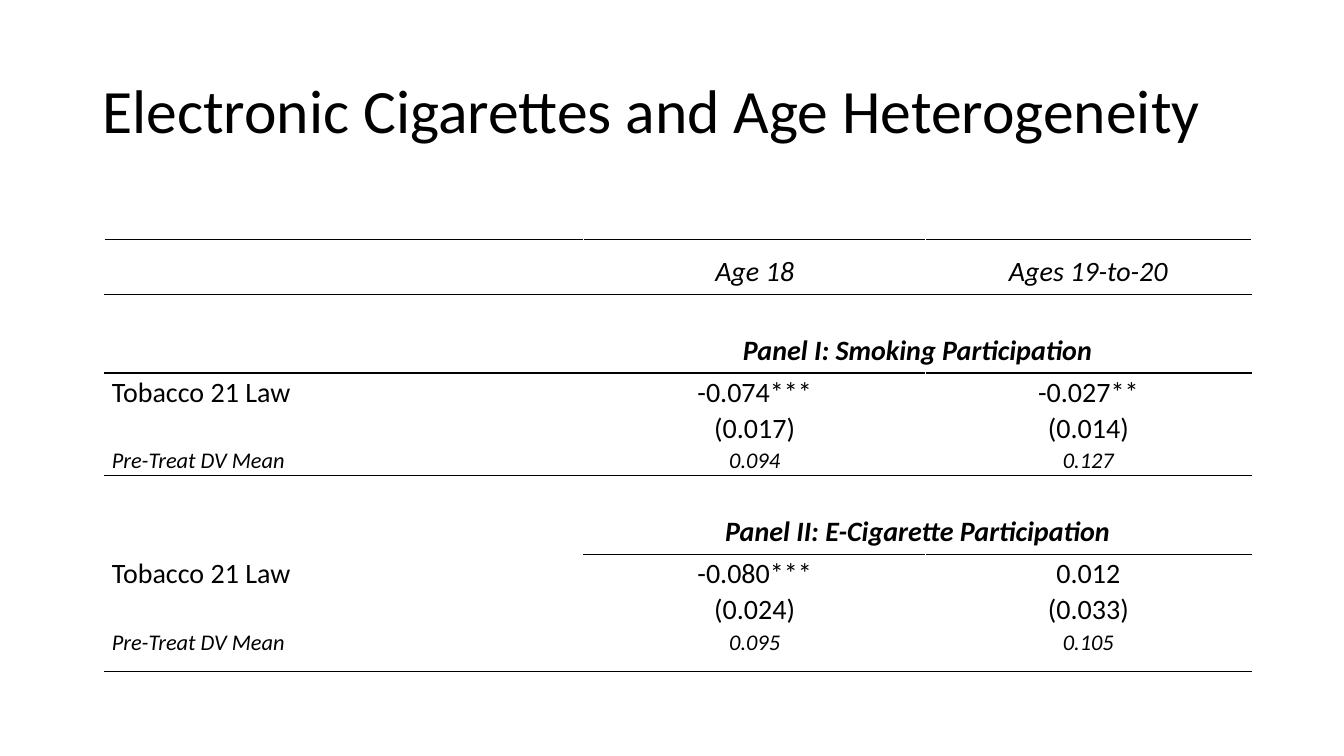
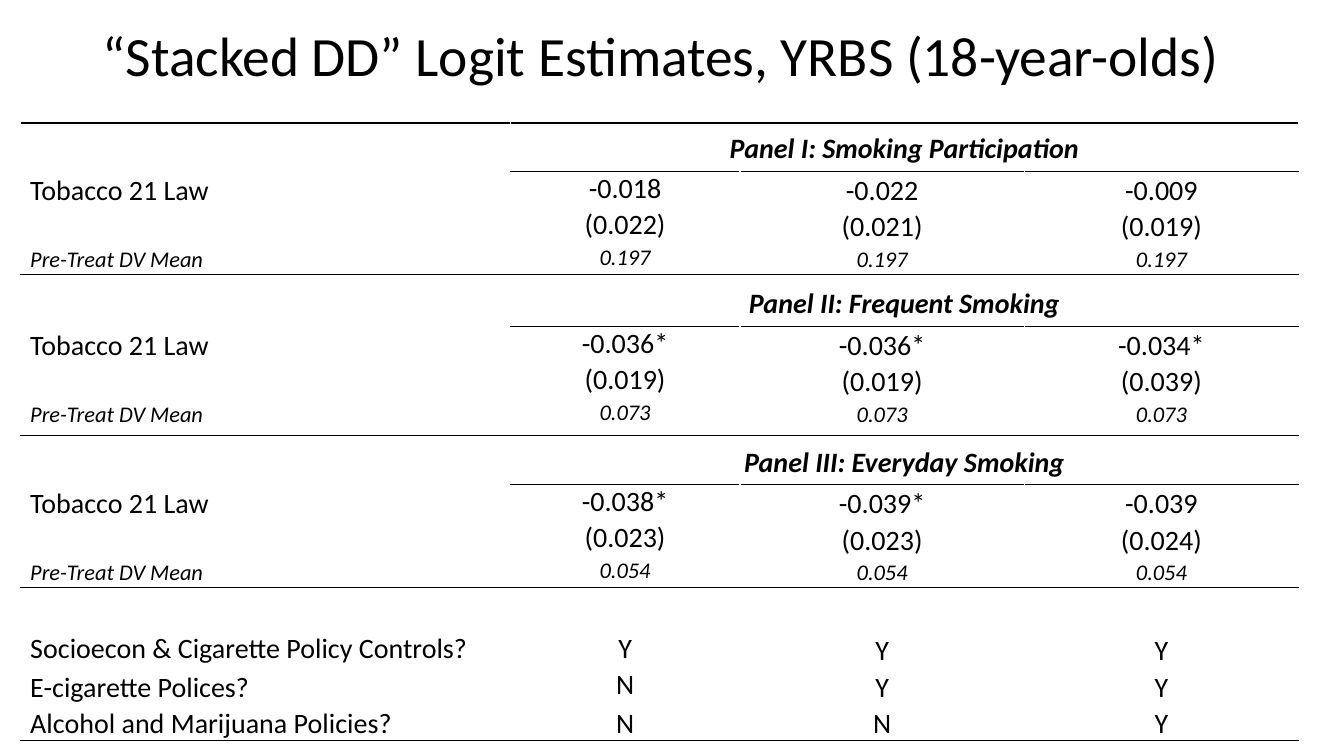
from pptx import Presentation
from pptx.util import Inches, Pt
from pptx.dml.color import RGBColor as RGB
from pptx.enum.text import PP_ALIGN as AL, MSO_ANCHOR as AN
from pptx.oxml.ns import qn
from lxml.etree import SubElement as Sub

W, H = 13.33, 7.5
FONT = "Calibri"
HUES = {"ink": "000000", "paper": "FFFFFF"}
LINE = 0.36  # height of one text row

# kind of row: size, bold, italic, vertical inset, anchor
KINDS = {
    "head": (20, False, True, 0.05, AN.BOTTOM),
    "panel": (20, True, True, 0.05, AN.BOTTOM),
    "value": (20, False, False, 0, AN.TOP),
    "mean": (16, False, True, 0, AN.TOP),
    "gap": (8, False, False, 0, AN.TOP),
}


def panel(name, tall, beta, err, mean, last=0.3):
    """Rows of one panel: heading, estimate, standard error, mean."""
    return [
        ("panel", tall, ["", name]),
        ("value", LINE, ["Tobacco 21 Law"] + beta),
        ("value", LINE, [""] + err),
        ("mean", last, ["Pre-Treat DV Mean"] + mean),
    ]


def style(font, size, bold=False, ital=False):
    font.name, font.size, font.bold, font.italic = FONT, Pt(size), bold, ital
    font.color.rgb = RGB.from_string(HUES["ink"])


# "full" and "part" number the rules by the row below them;
# a part rule leaves out the label column.
# "tight" names the cells set at single line spacing.
SLIDES = [
    {
        "title": "Electronic Cigarettes and Age Heterogeneity",
        "size": 44, "top": 0.053, "tall": 0.193,
        "at": (1.04, 2.38), "cols": [4.75, 3.39, 3.23], "pad": 0.07,
        "full": {0, 1, 2, 5, 10}, "part": {6}, "tight": set(),
        "rows": [("head", 0.54, ["", "Age 18", "Ages 19-to-20"])]
        + panel("Panel I: Smoking Participation", 0.78,
                ["-0.074***", "-0.027**"], ["(0.017)", "(0.014)"],
                ["0.094", "0.127"])
        + panel("Panel II: E-Cigarette Participation", 0.78,
                ["-0.080***", "0.012"], ["(0.024)", "(0.033)"],
                ["0.095", "0.105"])
        + [("gap", 0.14, [""] * 3)],
    },
    {
        "title": "“Stacked DD” Logit Estimates, YRBS (18-year-olds)",
        "size": 39.6, "top": 0.029, "tall": 0.096,
        "at": (0.2, 1.22), "cols": [4.86, 2.28, 2.82, 2.72], "pad": 0.1,
        "full": {0, 4, 8, 12, 16}, "part": {1, 5, 9},
        "tight": {(r, 1) for r in range(15)} | {(13, 0)},
        "rows": panel("Panel I: Smoking Participation", 0.48,
                      ["-0.018", "-0.022", "-0.009"],
                      ["(0.022)", "(0.021)", "(0.019)"], ["0.197"] * 3)
        + panel("Panel II: Frequent Smoking", 0.52,
                ["-0.036*", "-0.036*", "-0.034*"],
                ["(0.019)", "(0.019)", "(0.039)"], ["0.073"] * 3, LINE)
        + panel("Panel III: Everyday Smoking", 0.49,
                ["-0.038*", "-0.039*", "-0.039"],
                ["(0.023)", "(0.023)", "(0.024)"], ["0.054"] * 3)
        + [
            ("gap", 0.44, [""] * 4),
            ("value", LINE, ["Socioecon & Cigarette Policy Controls?", "Y", "Y", "Y"]),
            ("value", LINE, ["E-cigarette Polices?", "N", "Y", "Y"]),
            ("value", LINE, ["Alcohol and Marijuana Policies?", "N", "N", "Y"]),
        ],
    },
]

prs = Presentation()
prs.slide_width, prs.slide_height = Inches(W), Inches(H)

for page in SLIDES:
    slide = prs.slides.add_slide(prs.slide_layouts[6])

    box = slide.shapes.add_textbox(
        Inches(W * 0.069), Inches(H * page["top"]),
        Inches(W * 0.863), Inches(H * page["tall"]))
    frame = box.text_frame
    frame.word_wrap = True
    frame.vertical_anchor = AN.MIDDLE
    frame.text = page["title"]
    para = frame.paragraphs[0]
    para.line_spacing = 0.9
    style(para.runs[0].font, page["size"])

    rows, cols = page["rows"], page["cols"]
    left, top = page["at"]
    table = slide.shapes.add_table(
        len(rows), len(cols), Inches(left), Inches(top), Inches(sum(cols)),
        Inches(sum(tall for kind, tall, texts in rows))).table
    table.first_row = table.horz_banding = False
    for col, wide in zip(table.columns, cols):
        col.width = Inches(wide)

    for r, (kind, tall, texts) in enumerate(rows):
        table.rows[r].height = Inches(tall)
        size, bold, ital, inset, anchor = KINDS[kind]
        if kind == "panel":
            table.cell(r, 1).merge(table.cell(r, len(cols) - 1))

        for c in range(len(cols)):
            cell = table.cell(r, c)
            cell.margin_left = cell.margin_right = Inches(page["pad"])
            cell.margin_top = cell.margin_bottom = Inches(inset)
            cell.vertical_anchor = anchor

            # Borders come before the fill in a cell's properties
            ruled = page["full"] | (page["part"] if c else set())
            props = cell._tc.get_or_add_tcPr()
            for side, dark in (("L", False), ("R", False),
                               ("T", r in ruled), ("B", r + 1 in ruled)):
                edge = Sub(props, qn("a:ln" + side), w=str(Pt(1)))
                fill = Sub(edge, qn("a:solidFill"))
                Sub(fill, qn("a:srgbClr"), val=HUES["ink" if dark else "paper"])
            cell.fill.background()

            para = cell.text_frame.paragraphs[0]
            text = texts[c] if c < len(texts) else ""
            if not text:
                Sub(para._p, qn("a:endParaRPr"), sz=str(size * 100))
                continue
            para.text = text
            para.alignment = AL.CENTER if c else AL.LEFT
            if kind in ("value", "mean") and (r, c) not in page["tight"]:
                para.line_spacing = 1.07
            style(para.runs[0].font, size, bold, ital)

prs.save("out.pptx")
